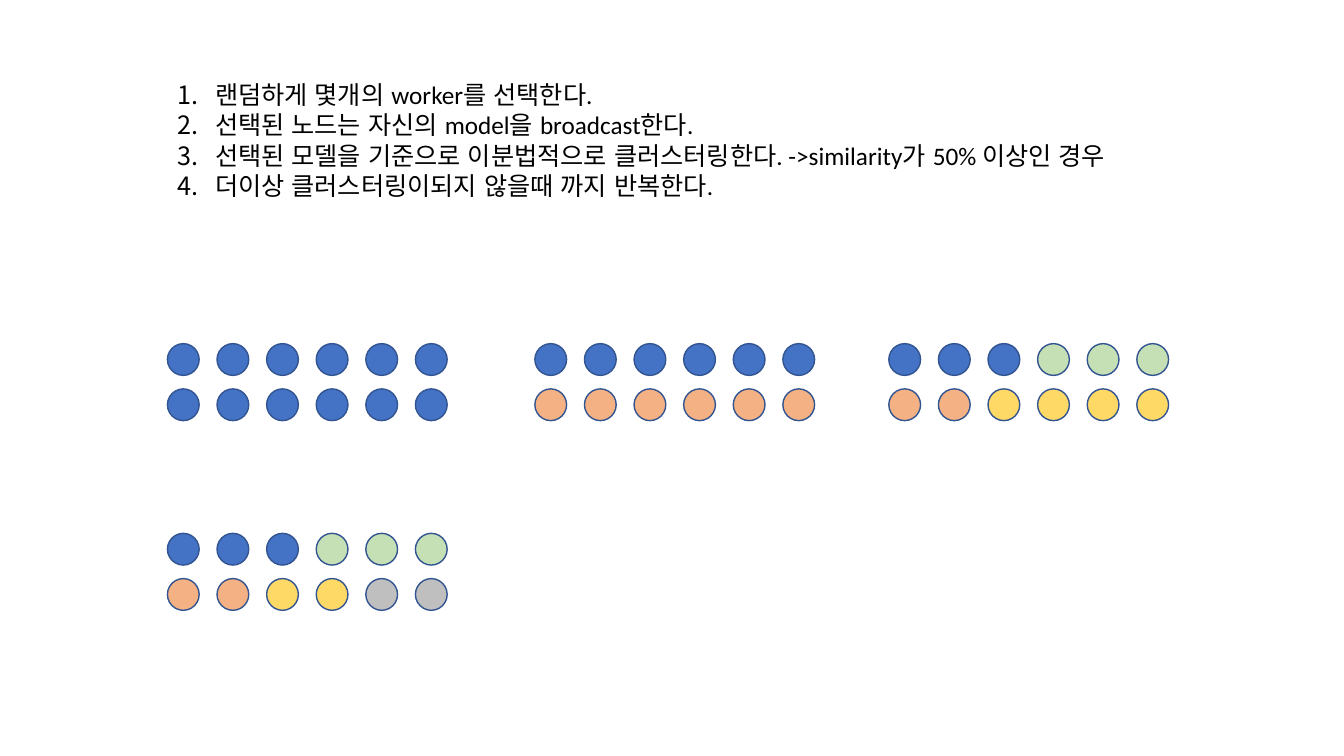
import pptx
import pptx.dml.color
import pptx.enum.lang
import pptx.enum.shapes
import pptx.enum.text
import pptx.oxml.ns
import pptx.util
from lxml import etree
from pptx.util import Cm

# Content
STEPS = [
    "랜덤하게 몇개의 worker를 선택한다.",
    "선택된 노드는 자신의 model을 broadcast한다.",
    "선택된 모델을 기준으로 이분법적으로 클러스터링한다. ->similarity가 50% 이상인 경우",
    "더이상 클러스터링이되지 않을때 까지 반복한다.",
]
CLUSTER_COLORS = {
    "B": "4472C4", "O": "F4B183", "G": "C5E0B4", "Y": "FFD966", "S": "BFBFBF",
}
# Each stage: left, top, then the cluster of every worker row by row
STAGES = [
    (4.22, 8.66, ["BBBBBB", "BBBBBB"]),
    (13.48, 8.66, ["BBBBBB", "OOOOOO"]),
    (22.4, 8.66, ["BBBGGG", "OOYYYY"]),
    (4.22, 13.44, ["BBBGGG", "OOYYSS"]),
]

# Sizes in centimetres
DIAMETER = 0.8
COLUMN_STEP = 1.25
ROW_STEP = 1.14
INDENT = 0.95


def rgb(color):
    return pptx.dml.color.RGBColor.from_string(color)


def add_steps(slide):
    tf = slide.shapes.add_textbox(Cm(4.22), Cm(1.88), Cm(25.43), Cm(3.33)).text_frame
    tf.word_wrap = False
    tf.auto_size = pptx.enum.text.MSO_AUTO_SIZE.SHAPE_TO_FIT_TEXT
    for i, step in enumerate(STEPS):
        p = tf.add_paragraph() if i else tf.paragraphs[0]
        r = p.add_run()
        r.text = step
        r.font.name = "Calibri"
        r.font.size = pptx.util.Pt(18)
        r.font.color.rgb = rgb("000000")
        r.font.language_id = pptx.enum.lang.MSO_LANGUAGE_ID.KOREAN
        # Automatic number with a hanging indent
        pPr = p._p.get_or_add_pPr()
        pPr.set("marL", str(Cm(INDENT)))
        pPr.set("indent", str(-Cm(INDENT)))
        etree.SubElement(pPr, pptx.oxml.ns.qn("a:buFont"), typeface="+mj-lt")
        etree.SubElement(pPr, pptx.oxml.ns.qn("a:buAutoNum"), type="arabicPeriod")


def add_worker(slide, left, top, color):
    sp = slide.shapes.add_shape(
        pptx.enum.shapes.MSO_SHAPE.OVAL, Cm(left), Cm(top), Cm(DIAMETER), Cm(DIAMETER))
    sp.shadow.inherit = False
    sp.fill.solid()
    sp.fill.fore_color.rgb = rgb(color)
    sp.line.color.rgb = rgb("325491")
    sp.line.width = pptx.util.Pt(1)


def main():
    prs = pptx.Presentation()
    prs.slide_width, prs.slide_height = Cm(33.87), Cm(19.05)
    slide = prs.slides.add_slide(prs.slide_layouts[6])

    add_steps(slide)

    # Worker grids, one per clustering stage
    for left, top, rows in STAGES:
        for i, row in enumerate(rows):
            for j, cluster in enumerate(row):
                add_worker(slide, left + j * COLUMN_STEP, top + i * ROW_STEP,
                           CLUSTER_COLORS[cluster])

    prs.save("out.pptx")


if __name__ == "__main__":
    main()
